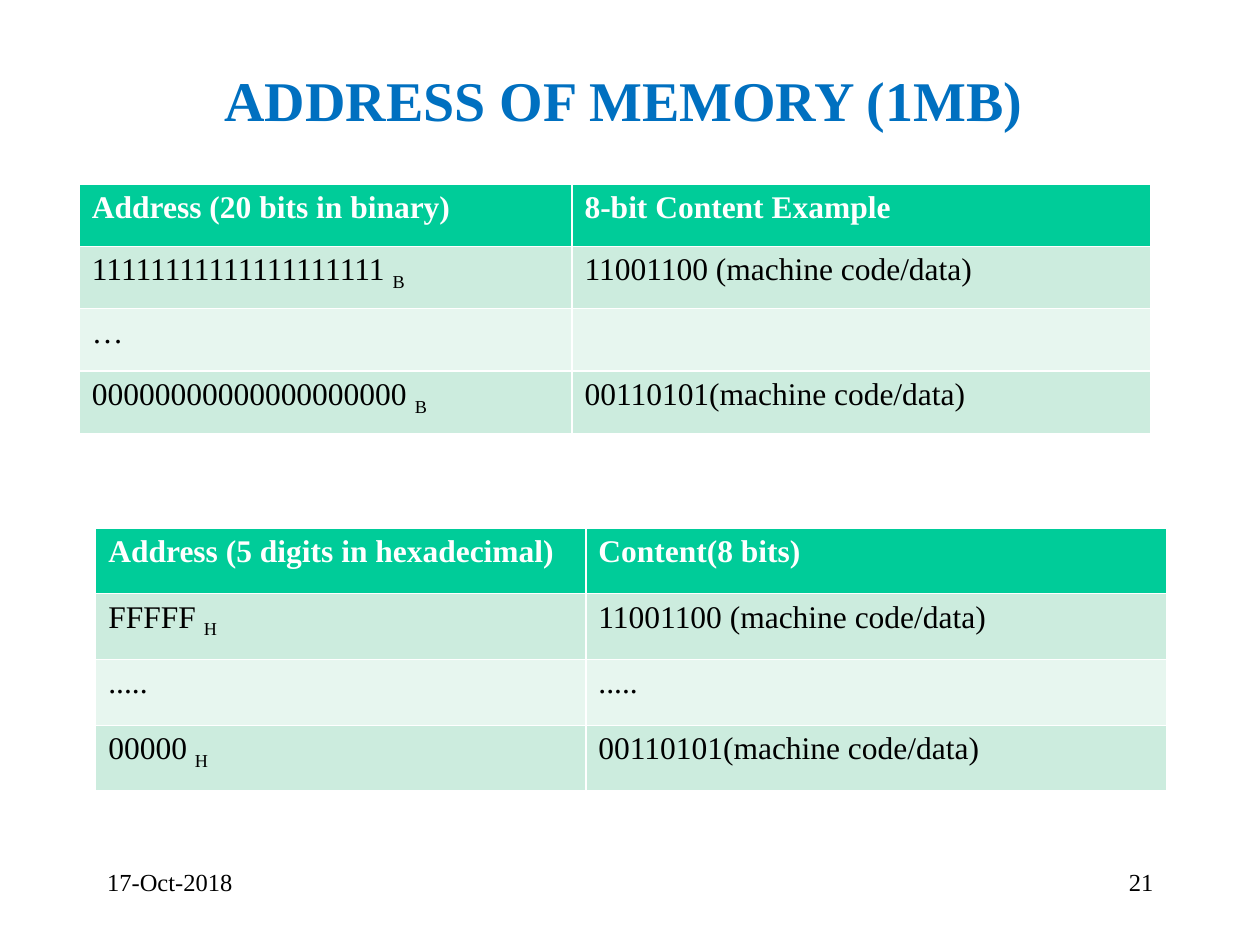
from pptx import Presentation
from pptx.dml.color import RGBColor
from pptx.enum.text import MSO_ANCHOR as Anchor, PP_ALIGN as Align
from pptx.util import Cm, Pt

BLUE = RGBColor(0x00, 0x70, 0xC0)
GREEN = RGBColor(0x00, 0xCC, 0x99)
MINT = RGBColor(0xCC, 0xEC, 0xDE)
PALE = RGBColor(0xE7, 0xF6, 0xEF)
WHITE = RGBColor(0xFF, 0xFF, 0xFF)
BLACK = RGBColor(0x00, 0x00, 0x00)

TITLE = {"size": Pt(32), "bold": True}
HEADER = {"size": Pt(18), "bold": True}
BODY = {"size": Pt(18), "bold": False}
FOOTER = {"size": Pt(14), "bold": False}

BINARY_ROWS = [
    ("Address (20 bits in binary)", "8-bit Content Example"),
    ("11111111111111111111 _B", "11001100 (machine code/data)"),
    ("…", ""),
    ("00000000000000000000 _B", "00110101(machine code/data)"),
]
HEX_ROWS = [
    ("Address (5 digits in hexadecimal)", "Content(8 bits)"),
    ("FFFFF _H", "11001100 (machine code/data)"),
    (".....", "....."),
    ("00000 _H", "00110101(machine code/data)"),
]


def add_run(p, text, fmt, color):
    """Append a formatted run to a paragraph and return it."""
    r = p.add_run()
    r.text = text
    r.font.name = "Times New Roman"
    r.font.color.rgb = color
    for name, value in fmt.items():
        setattr(r.font, name, value)
    return r


def add_text(s, box, text, fmt, color, align, anchor=Anchor.TOP):
    """Place one line of text in a box given in centimetres."""
    tf = s.shapes.add_textbox(*map(Cm, box)).text_frame
    tf.word_wrap = True
    tf.vertical_anchor = anchor
    p = tf.paragraphs[0]
    p.alignment = align
    add_run(p, text, fmt, color)


def fill_cell(cell, text, fmt, color, fill):
    """Fill a cell, lowering the text that follows an underscore."""
    cell.fill.solid()
    cell.fill.fore_color.rgb = fill
    p = cell.text_frame.paragraphs[0]
    main, _, base = text.partition("_")
    if main:
        add_run(p, main, fmt, color)
    if base:
        r = add_run(p, base, fmt, color)
        r._r.get_or_add_rPr().set("baseline", "-25000")


def add_memory_table(s, box, first_width, rows):
    """Draw an address and content table with a header and banded rows."""
    left, top, width, height = box
    table = s.shapes.add_table(len(rows), 2, *map(Cm, box)).table
    for col, col_width in zip(table.columns, (first_width, width - first_width)):
        col.width = Cm(col_width)
    for i, row in enumerate(rows):
        table.rows[i].height = Cm(height / len(rows))
        if i == 0:
            style = HEADER, WHITE, GREEN
        else:
            style = BODY, BLACK, MINT if i % 2 else PALE
        for j, text in enumerate(row):
            fill_cell(table.cell(i, j), text, *style)


def add_footer(s, box, date, number):
    """Put the date at the left and the slide number at the right of a box."""
    left, top, width, height = box
    part = 5.28
    add_text(s, (left, top, part, height), date, FOOTER, BLACK, Align.LEFT)
    add_text(s, (left + width - part, top, part, height), number, FOOTER, BLACK, Align.RIGHT)


def main():
    """Build and save the memory address slide."""
    prs = Presentation()
    prs.slide_width, prs.slide_height = Cm(25.4), Cm(19.05)
    s = prs.slides.add_slide(prs.slide_layouts[6])
    add_text(s, (1.78, 0.94, 21.59, 2.11), "ADDRESS OF MEMORY (1MB)",
             TITLE, BLUE, Align.CENTER, Anchor.MIDDLE)
    add_memory_table(s, (1.6, 3.71, 21.59, 5.03), 9.93, BINARY_ROWS)
    add_memory_table(s, (1.93, 10.64, 21.59, 5.31), 9.88, HEX_ROWS)
    add_footer(s, (1.91, 17.35, 21.59, 1.27), "17-Oct-2018", "21")
    prs.save("out.pptx")


if __name__ == "__main__":
    main()
